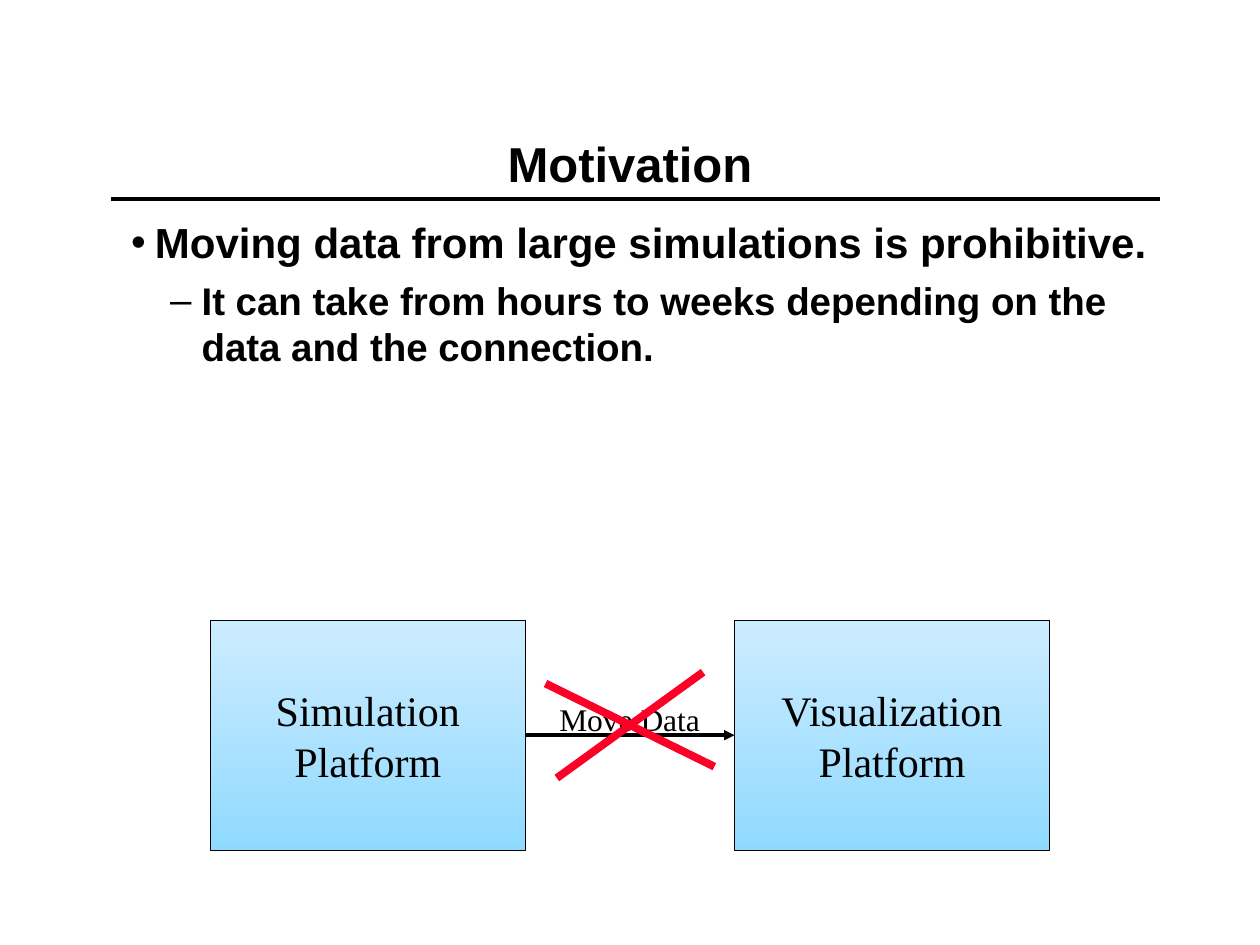
from lxml.etree import SubElement
from pptx import Presentation
from pptx.dml.color import RGBColor
from pptx.enum.shapes import MSO_CONNECTOR, MSO_SHAPE
from pptx.enum.text import MSO_ANCHOR, MSO_AUTO_SIZE, PP_ALIGN
from pptx.oxml.ns import qn
from pptx.util import Inches, Pt

COLORS = {"ink": "000000", "box_top": "CCECFF", "box_bottom": "91DAFF", "cross": "FC0128"}
SANS, SERIF = "Arial", "Times New Roman"


def rgb(name):
    """Return the named colour."""
    return RGBColor.from_string(COLORS[name])


def write(p, text, size, font=SERIF, bold=False, align=PP_ALIGN.LEFT, before=0):
    """Put formatted text into a paragraph."""
    p.alignment = align
    p.space_before = Pt(before)
    r = p.add_run()
    r.text = text
    r.font.size, r.font.name, r.font.bold = Pt(size), font, bold
    r.font.color.rgb = rgb("ink")


def bullet(p, char, indent, hanging):
    """Give a paragraph a bullet with a hanging indent."""
    pPr = p._p.get_or_add_pPr()
    pPr.set("marL", str(Inches(indent)))
    pPr.set("indent", str(-Inches(hanging)))
    SubElement(pPr, qn("a:buFont")).set("typeface", SANS)
    SubElement(pPr, qn("a:buChar")).set("char", char)


def place(sp, x, y, w, h):
    """Move and size a shape."""
    sp.left, sp.top, sp.width, sp.height = map(Inches, (x, y, w, h))


def add_line(s, x1, y1, x2, y2, color="ink", width=2, arrow=False):
    """Draw a straight line, with an arrowhead at its end if asked."""
    line = s.shapes.add_connector(MSO_CONNECTOR.STRAIGHT, *map(Inches, (x1, y1, x2, y2)))
    line.line.color.rgb = rgb(color)
    line.line.width = Pt(width)
    if arrow:
        SubElement(line.line._get_or_add_ln(), qn("a:tailEnd")).set("type", "triangle")
    SubElement(line._element.spPr, qn("a:effectLst"))
    return line


def add_title(s, text, x, y, w, h):
    """Set the title above its rule."""
    sp = s.shapes.title
    place(sp, x, y, w, h)
    tf = sp.text_frame
    tf.vertical_anchor = MSO_ANCHOR.BOTTOM
    tf.auto_size = MSO_AUTO_SIZE.NONE
    write(tf.paragraphs[0], text, 28, SANS, bold=True, align=PP_ALIGN.CENTER)
    add_line(s, x + 0.13, y + h, x + w - 0.04, y + h)


def add_body(s, x, y, w, h):
    """Fill the body with the point and its detail."""
    sp = s.placeholders[1]
    place(sp, x, y, w, h)
    tf = sp.text_frame
    tf.auto_size = MSO_AUTO_SIZE.NONE
    point, detail = tf.paragraphs[0], tf.add_paragraph()
    write(point, "Moving data from large simulations is prohibitive.", 24, SANS, bold=True, before=6)
    bullet(point, "•", 0.38, 0.19)
    detail.level = 1
    write(detail, "It can take from hours to weeks depending on the data and the connection.",
          22, SANS, bold=True, before=5.5)
    bullet(detail, "–", 0.75, 0.25)


def add_platform(s, name, x, y, w, h):
    """Draw a platform box with its two-line name."""
    sp = s.shapes.add_shape(MSO_SHAPE.RECTANGLE, *map(Inches, (x, y, w, h)))
    sp.shadow.inherit = False
    sp.fill.gradient()
    sp.fill.gradient_angle = 270
    for stop, color, position in zip(sp.fill.gradient_stops, ("box_top", "box_bottom"), (0, 1)):
        stop.color.rgb = rgb(color)
        stop.position = position
    sp.line.color.rgb = rgb("ink")
    sp.line.width = Pt(0.25)
    tf = sp.text_frame
    tf.word_wrap = False
    tf.vertical_anchor = MSO_ANCHOR.MIDDLE
    for p, text in zip((tf.paragraphs[0], tf.add_paragraph()), (name, "Platform")):
        write(p, text, 24, align=PP_ALIGN.CENTER)
    return sp


def add_diagram(s, x, y, w, h):
    """Draw two platforms and the crossed-out move between them."""
    box_w = 2.5
    right = x + w - box_w
    mid_x, mid_y = x + w / 2, y + h / 2
    simulation = add_platform(s, "Simulation", x, y, box_w, h)
    visualization = add_platform(s, "Visualization", right, y, box_w, h)
    arrow = add_line(s, x + box_w, mid_y, right, mid_y, arrow=True)
    arrow.begin_connect(simulation, 3)
    arrow.end_connect(visualization, 1)
    label = s.shapes.add_textbox(*map(Inches, (mid_x - 0.66, mid_y - 0.33, 1.32, 0.4)))
    label.text_frame.word_wrap = False
    label.text_frame.auto_size = MSO_AUTO_SIZE.SHAPE_TO_FIT_TEXT
    write(label.text_frame.paragraphs[0], "Move Data", 18)
    cross_y = mid_y - 0.08
    for dx, dy in ((0.67, 0.33), (-0.58, 0.42)):
        add_line(s, mid_x - dx, cross_y - dy, mid_x + dx, cross_y + dy, "cross", 4.5)


def main():
    """Build and save the slide."""
    prs = Presentation()
    prs.slide_width, prs.slide_height = Inches(10), Inches(7.5)
    s = prs.slides.add_slide(prs.slide_layouts[1])
    add_title(s, "Motivation", 0.75, 0.25, 8.5, 1.33)
    add_body(s, 0.75, 1.67, 8.5, 5.25)
    add_diagram(s, 1.67, 4.92, 6.66, 1.83)
    prs.save("out.pptx")


if __name__ == "__main__":
    main()
